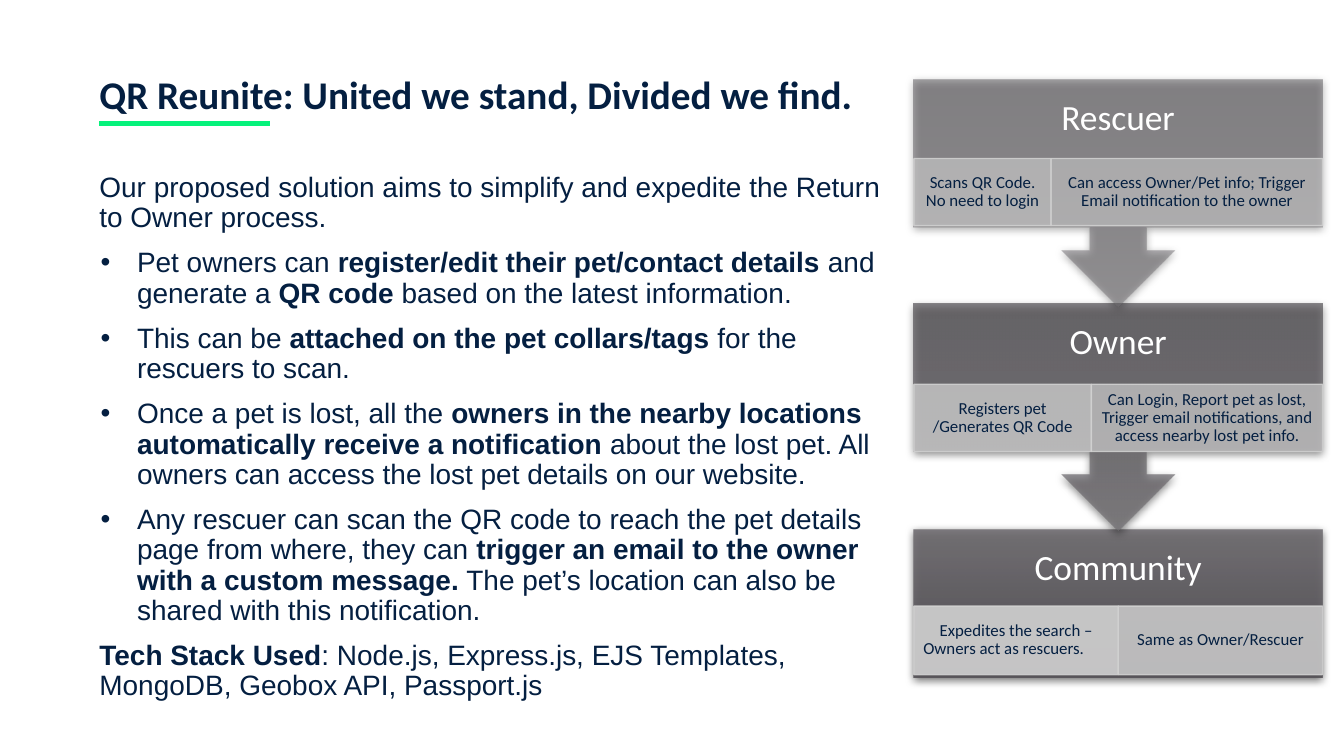
from lxml import etree
from pptx import Presentation
from pptx import util as u
from pptx.dml.color import RGBColor
from pptx.enum import shapes, text
from pptx.oxml import ns

Inches = u.Inches
COLORS = {"navy": "041F41", "green": "06F27B", "white": "FFFFFF", "tile": "D1D1D1",
          "light": "737074", "middle": "5F5C61", "dark": "545156"}
A = "http://schemas.openxmlformats.org/drawingml/2006/main"

# A 16:9 page
deck = Presentation()
deck.slide_width = Inches(10)
deck.slide_height = Inches(10 * 9 / 16)
page = deck.slides.add_slide(deck.slide_layouts[6])


def write(frame, paragraphs, size, font="Calibri", color="navy", bold=False, align=None,
          anchor=text.MSO_ANCHOR.TOP, margins=(0.07, 0.04), space=0):
    """Fill a text frame; *starred* words are bold, a leading • makes a bullet."""
    frame.word_wrap = True
    frame.vertical_anchor = anchor
    frame.margin_left = frame.margin_right = Inches(margins[0])
    frame.margin_top = frame.margin_bottom = Inches(margins[1])
    for index, words in enumerate(paragraphs):
        para = frame.add_paragraph() if index else frame.paragraphs[0]
        if words.startswith("•"):
            words = words[1:]
            props = para._p.get_or_add_pPr()
            props.set("marL", str(Inches(0.28)))
            props.set("indent", str(Inches(-0.27)))
            bullet_font = etree.SubElement(props, ns.qn("a:buFont"))
            bullet_font.set("typeface", "Arial")
            etree.SubElement(props, ns.qn("a:buChar")).set("char", "•")
        para.alignment = align
        para.line_spacing = 0.9
        if index:
            para.space_before = u.Pt(space)
        for part, piece in enumerate(words.split("*")):
            for row, line in enumerate(piece.split("\n")):
                if row:
                    para.add_line_break()
                if line:
                    span = para.add_run()
                    span.text = line
                    span.font.name, span.font.size = font, u.Pt(size)
                    span.font.bold = bold or part % 2 == 1
                    span.font.color.rgb = RGBColor.from_string(COLORS[color])


def set_opacity(fill, percent):
    """Set the opacity of every colour inside a fill element."""
    for tone in fill.iter(ns.qn("a:srgbClr")):
        etree.SubElement(tone, ns.qn("a:alpha")).set("val", str(percent * 1000))


# Title with its underline
title = page.shapes.add_textbox(Inches(0.67), Inches(0.52), Inches(8.56), Inches(0.39))
write(title.text_frame, ["QR Reunite: United we stand, Divided we find."], 21, bold=True)

underline = page.shapes.add_connector(shapes.MSO_CONNECTOR.STRAIGHT, Inches(0.74),
                                      Inches(0.92), Inches(2.01), Inches(0.92))
underline.line.color.rgb = RGBColor.from_string(COLORS["green"])
underline.line.width = u.Pt(3)
etree.SubElement(underline._element.spPr, ns.qn("a:effectLst"))

# Description
body = page.shapes.add_textbox(Inches(0.67), Inches(1.25), Inches(6.14), Inches(4.37))
write(body.text_frame, [
    "Our proposed solution aims to simplify and expedite the Return to Owner process.",
    "•Pet owners can *register/edit their pet/contact details *and generate a *QR code *"
    "based on the latest information.",
    "•This can be *attached on the pet collars/tags* for the rescuers to scan.",
    "•Once a pet is lost, all the *owners in the nearby locations automatically receive a "
    "notification *about the lost pet. All owners can access the lost pet details on our "
    "website.",
    "•Any rescuer can scan the QR code to reach the pet details page from where, they can "
    "*trigger an email to the owner with a custom message.* The pet’s location can also be "
    "shared with this notification.",
    "*Tech Stack Used*: Node.js, Express.js, EJS Templates, MongoDB, Geobox API, Passport.js",
], 15, font="Arial", space=8)

# Process: role, top, card height, card opacity, tile offset, tile height,
# tiles (text, width, opacity)
LEFT, WIDTH = 6.8, 3.04
STEPS = [
    ("Community", 3.94, 1.1, 90, 0.57, 0.51, [
        ("Expedites the search – Owners act as rescuers.\t", 1.52, 90),
        ("Same as Owner/Rescuer", 1.52, 82)]),
    ("Owner", 2.26, 1.69, 70, 0.6, 0.5, [
        ("Registers pet /Generates QR Code", 1.32, 74),
        ("Can Login, Report pet as lost, Trigger email notifications, and access nearby "
         "lost pet info.", 1.72, 66)]),
    ("Rescuer", 0.59, 1.69, 50, 0.59, 0.5, [
        ("Scans QR Code.\nNo need to login", 1.02, 58),
        ("Can access Owner/Pet info; Trigger Email notification to the owner", 2.02, 50)]),
]
centred = {"align": text.PP_ALIGN.CENTER, "anchor": text.MSO_ANCHOR.MIDDLE}

for role, top, height, opacity, offset, tile_height, tiles in STEPS:
    # Card: the last step is a plain bar, the others point down to the next one
    last = role == "Community"
    kind = shapes.MSO_SHAPE.RECTANGLE if last else shapes.MSO_SHAPE.UP_ARROW_CALLOUT
    card = page.shapes.add_shape(kind, Inches(LEFT), Inches(top), Inches(WIDTH),
                                 Inches(height))
    if not last:
        card.rotation = 180
        for index, value in enumerate((0.25, 0.25, 0.25, 0.65)):
            card.adjustments[index] = value
    card.line.fill.background()
    stops = "".join(
        f'<a:gs pos="{place}"><a:srgbClr val="{COLORS[tone]}"/></a:gs>'
        for place, tone in ((0, "light"), (50000, "middle"), (100000, "dark")))
    gradient = etree.fromstring(
        f'<a:gradFill xmlns:a="{A}" rotWithShape="1"><a:gsLst>{stops}</a:gsLst>'
        '<a:lin ang="5400000" scaled="0"/></a:gradFill>')
    set_opacity(gradient, opacity)
    card_props = card._element.spPr
    card_props.find(ns.qn("a:prstGeom")).addnext(gradient)
    card_props.append(etree.fromstring(
        f'<a:effectLst xmlns:a="{A}"><a:outerShdw blurRad="{u.Pt(4.5)}" '
        f'dist="{u.Pt(1.5)}" dir="5400000" algn="ctr" rotWithShape="0">'
        '<a:srgbClr val="000000"><a:alpha val="63000"/></a:srgbClr>'
        '</a:outerShdw></a:effectLst>'))

    # Role name
    heading = page.shapes.add_textbox(Inches(LEFT), Inches(top), Inches(WIDTH), Inches(0.59))
    write(heading.text_frame, [role], 19, color="white", margins=(0.15, 0.15), **centred)

    # Action tiles, side by side
    left = LEFT
    for words, width, tile_opacity in tiles:
        tile = page.shapes.add_shape(shapes.MSO_SHAPE.RECTANGLE, Inches(left),
                                     Inches(top + offset), Inches(width),
                                     Inches(tile_height))
        tile.shadow.inherit = False
        tile.fill.solid()
        tile.fill.fore_color.rgb = RGBColor.from_string(COLORS["tile"])
        tile.line.color.rgb = RGBColor.from_string(COLORS["tile"])
        tile.line.width = u.Pt(0.75)
        tile_props = tile._element.spPr
        set_opacity(tile_props.find(ns.qn("a:solidFill")), tile_opacity)
        set_opacity(tile_props.find(ns.qn("a:ln")), 90)
        write(tile.text_frame, [words], 9, margins=(0.07, 0.01), **centred)
        left += width

deck.save("out.pptx")
